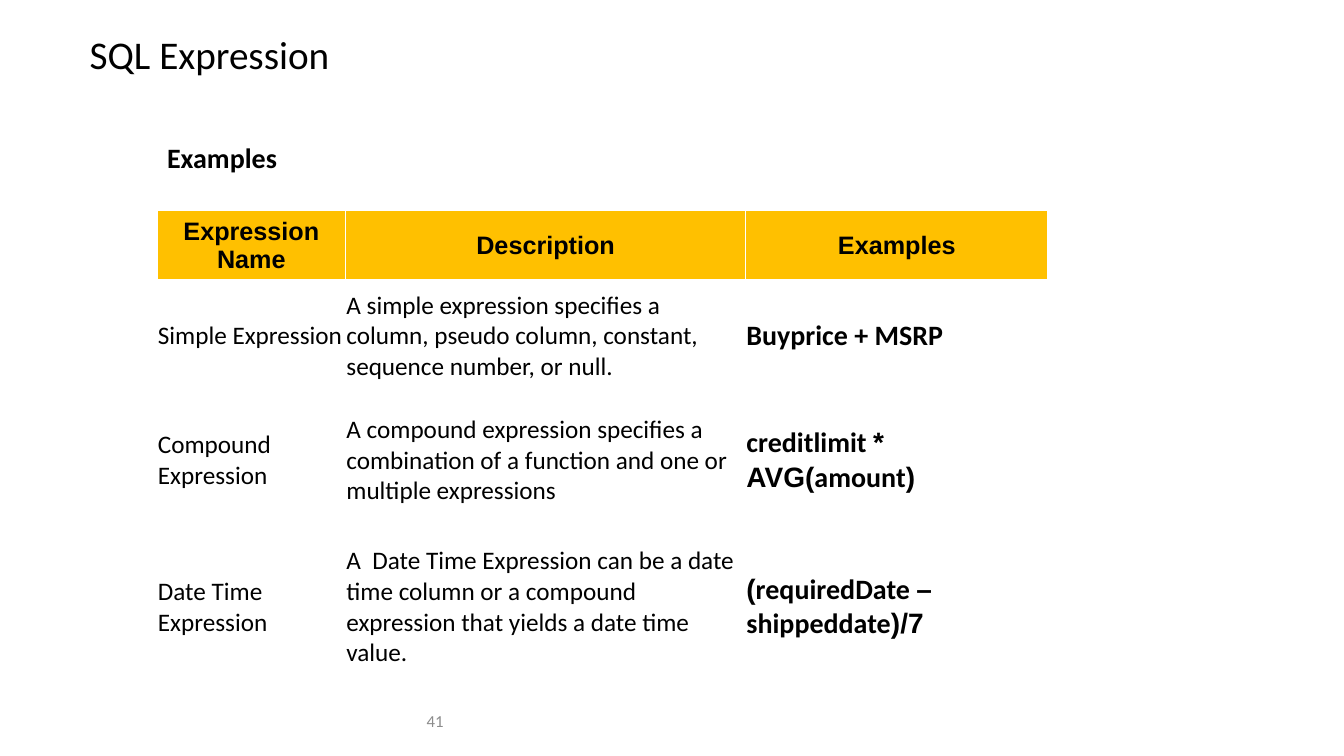
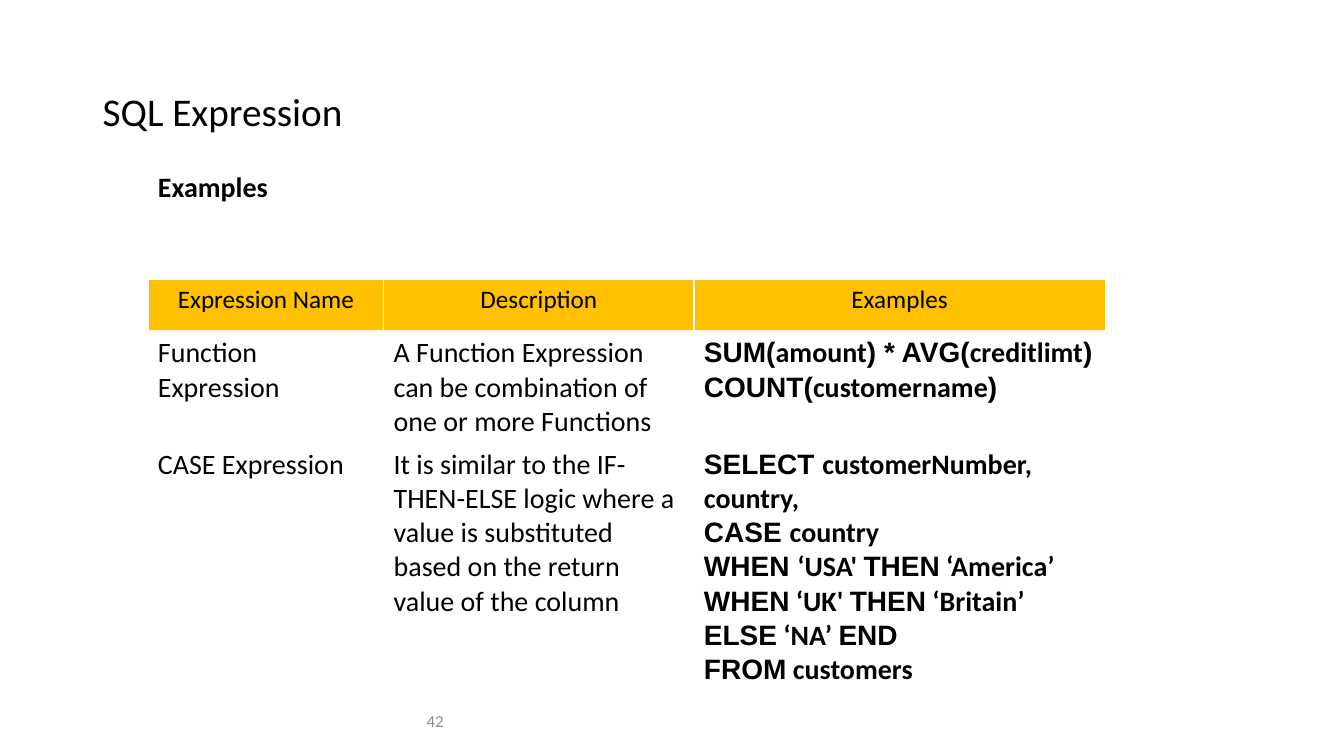
from dataclasses import dataclass

from pptx import Presentation
from pptx.dml.color import RGBColor
from pptx.enum.text import MSO_ANCHOR, PP_ALIGN
from pptx.util import Cm, Pt

LEFT, CENTER, RIGHT = PP_ALIGN.LEFT, PP_ALIGN.CENTER, PP_ALIGN.RIGHT
TOP, MIDDLE = MSO_ANCHOR.TOP, MSO_ANCHOR.MIDDLE

BLACK = "000000"
GREY = "8C8C8C"
AMBER = "FFC000"
TEXT_FONT = "Calibri"
KEYWORD_FONT = "Arial"
TITLE_SIZE = 28
CODE_SIZE = 20
HEADER_SIZE = 18
NUMBER_SIZE = 12
TITLE = "SQL Expression"
SUBTITLE = "Examples"
HEADERS = ("Expression Name", "Description", "Examples")
KEYWORD_MARK = "|"


@dataclass(frozen=True)
class Box:
    """A rectangle in centimetres."""
    left: float
    top: float
    width: float
    height: float


@dataclass(frozen=True)
class TextStyle:
    size: float
    bold: bool = False
    font: str = TEXT_FONT
    color: str = BLACK
    align: PP_ALIGN = LEFT
    line_spacing: float = 1.0


@dataclass(frozen=True)
class TableLayout:
    column_widths: tuple[float, ...]
    row_heights: tuple[float, ...]
    header: TextStyle
    body: TextStyle
    anchor: MSO_ANCHOR
    side_margin: float
    top_margin: float
    bottom_margin: float


@dataclass(frozen=True)
class Expression:
    """A table row; in the example, text between | marks is a keyword."""
    name: str
    description: str
    example: str


@dataclass(frozen=True)
class ExpressionSlide:
    number: int
    title_box: Box
    subtitle_top: float
    table_left: float
    table_top: float
    layout: TableLayout
    expressions: tuple[Expression, ...]


TITLE_STYLE = TextStyle(TITLE_SIZE, line_spacing=0.9)
SUBTITLE_STYLE = TextStyle(20, bold=True, line_spacing=0.9)
NUMBER_STYLE = TextStyle(NUMBER_SIZE, color=GREY, align=RIGHT)
CODE_STYLE = TextStyle(CODE_SIZE, bold=True)
NUMBER_BOX = Box(0, 17.65, 11.43, 1.02)

SLIDES = (
    ExpressionSlide(
        number=41,
        title_box=Box(2.01, 0.15, 29.21, 2.54),
        subtitle_top=3.51,
        table_left=3.96,
        table_top=5.31,
        layout=TableLayout(
            column_widths=(4.75, 10.08, 7.62),
            row_heights=(1.73, 2.84, 3.43, 3.96),
            header=TextStyle(HEADER_SIZE, bold=True, font=KEYWORD_FONT, align=CENTER),
            body=TextStyle(18),
            anchor=MIDDLE,
            side_margin=0.02,
            top_margin=0.02,
            bottom_margin=0,
        ),
        expressions=(
            Expression(
                "Simple Expression",
                "A simple expression specifies a column, pseudo column, constant, "
                "sequence number, or null.",
                "Buyprice + MSRP",
            ),
            Expression(
                "Compound Expression",
                "A compound expression specifies a combination of a function and "
                "one or multiple expressions",
                "creditlimit |*| |AVG(|amount|)|",
            ),
            Expression(
                "Date Time Expression",
                "A  Date Time Expression can be a date time column or a compound "
                "expression that yields a date time value.",
                "|(|requiredDate |–|shippeddate|)/7|",
            ),
        ),
    ),
    ExpressionSlide(
        number=42,
        title_box=Box(2.34, 1.02, 29.21, 3.68),
        subtitle_top=4.24,
        table_left=3.73,
        table_top=7.04,
        layout=TableLayout(
            column_widths=(5.94, 7.82, 10.36),
            row_heights=(1.3, 2.62, 6.55),
            header=TextStyle(HEADER_SIZE, align=CENTER),
            body=TextStyle(20),
            anchor=TOP,
            side_margin=0.25,
            top_margin=0.13,
            bottom_margin=0.13,
        ),
        expressions=(
            Expression(
                "Function Expression",
                "A Function Expression can be combination of one or more Functions",
                "|SUM(|amount|) * AVG(|creditlimt|)|\n|COUNT(|customername|)|",
            ),
            Expression(
                "CASE Expression",
                "It is similar to the IF-THEN-ELSE logic where a value is "
                "substituted based on the return value of the column",
                "|SELECT |customerNumber, country,\n"
                "|CASE |country\n"
                "|WHEN |‘USA' |THEN| ‘America’\n"
                "|WHEN| ‘UK' |THEN| ‘Britain’\n"
                "|ELSE| ‘NA’ |END|\n"
                "|FROM| customers",
            ),
        ),
    ),
)


def rgb(color: str) -> RGBColor:
    return RGBColor.from_string(color)


def format_run(run, style: TextStyle, font_name: str) -> None:
    run.font.name = font_name
    run.font.size = Pt(style.size)
    run.font.bold = style.bold
    run.font.color.rgb = rgb(style.color)


def write_text(text_frame, text: str, style: TextStyle) -> None:
    text_frame.text = text
    for paragraph in text_frame.paragraphs:
        paragraph.alignment = style.align
        paragraph.line_spacing = style.line_spacing
        for run in paragraph.runs:
            format_run(run, style, style.font)


def write_code(text_frame, code: str) -> None:
    """Write one paragraph a line, with marked keywords in their own font."""
    for index, line in enumerate(code.split("\n")):
        paragraph = text_frame.add_paragraph() if index else text_frame.paragraphs[0]
        paragraph.alignment = LEFT
        for position, part in enumerate(line.split(KEYWORD_MARK)):
            if part:
                run = paragraph.add_run()
                run.text = part
                format_run(run, CODE_STYLE, KEYWORD_FONT if position % 2 else TEXT_FONT)


def add_text(slide, box: Box, text: str, style: TextStyle, anchor: MSO_ANCHOR) -> None:
    shape = slide.shapes.add_textbox(
        Cm(box.left), Cm(box.top), Cm(box.width), Cm(box.height)
    )
    shape.text_frame.word_wrap = True
    shape.text_frame.vertical_anchor = anchor
    write_text(shape.text_frame, text, style)


def prepare_cell(cell, layout: TableLayout) -> None:
    cell.vertical_anchor = layout.anchor
    cell.margin_left = cell.margin_right = Cm(layout.side_margin)
    cell.margin_top = Cm(layout.top_margin)
    cell.margin_bottom = Cm(layout.bottom_margin)
    cell.fill.background()


def add_expression_table(slide, content: ExpressionSlide) -> None:
    layout = content.layout
    table = slide.shapes.add_table(
        len(layout.row_heights),
        len(layout.column_widths),
        Cm(content.table_left),
        Cm(content.table_top),
        Cm(sum(layout.column_widths)),
        Cm(sum(layout.row_heights)),
    ).table
    table.horz_banding = False
    for column, width in zip(table.columns, layout.column_widths):
        column.width = Cm(width)
    for row, height in zip(table.rows, layout.row_heights):
        row.height = Cm(height)
    for cell in table.iter_cells():
        prepare_cell(cell, layout)

    for column_index, header in enumerate(HEADERS):
        cell = table.cell(0, column_index)
        cell.fill.solid()
        cell.fill.fore_color.rgb = rgb(AMBER)
        write_text(cell.text_frame, header, layout.header)
    for row_index, expression in enumerate(content.expressions, start=1):
        write_text(table.cell(row_index, 0).text_frame, expression.name, layout.body)
        write_text(
            table.cell(row_index, 1).text_frame, expression.description, layout.body
        )
        write_code(table.cell(row_index, 2).text_frame, expression.example)


def add_expression_slide(presentation, content: ExpressionSlide) -> None:
    slide = presentation.slides.add_slide(presentation.slide_layouts[6])
    subtitle_box = Box(content.table_left, content.subtitle_top, 24.13, 1.4)
    add_text(slide, content.title_box, TITLE, TITLE_STYLE, MIDDLE)
    add_text(slide, subtitle_box, SUBTITLE, SUBTITLE_STYLE, TOP)
    add_text(slide, NUMBER_BOX, str(content.number), NUMBER_STYLE, MIDDLE)
    add_expression_table(slide, content)


def main() -> None:
    presentation = Presentation()
    presentation.slide_width = Cm(33.87)
    presentation.slide_height = Cm(19.05)
    for content in SLIDES:
        add_expression_slide(presentation, content)
    presentation.save("out.pptx")


if __name__ == "__main__":
    main()
